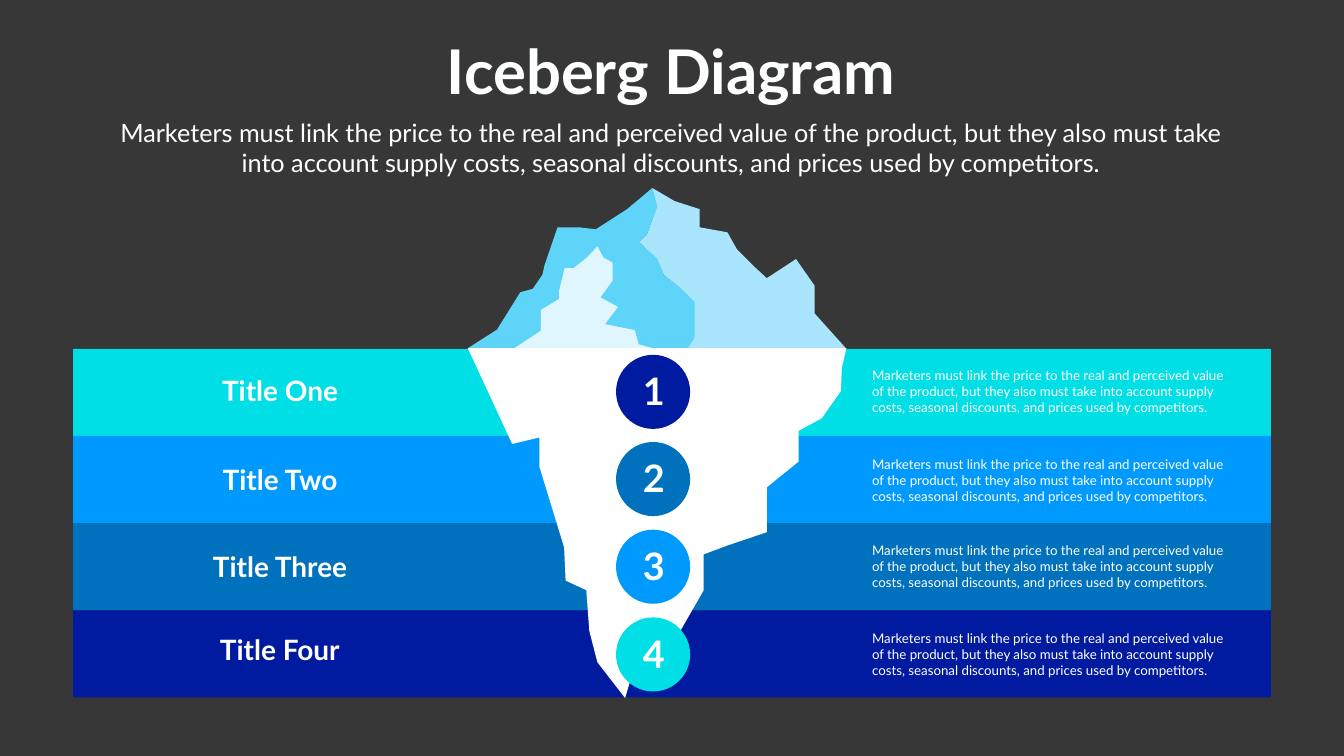
from dataclasses import dataclass

from pptx import Presentation
from pptx import util as u
from pptx.dml.color import RGBColor
from pptx.enum import shapes, text

PX = u.Inches(1) // 100  # one px is a hundredth of an inch
FONT = "Lato"
COLORS = {
    "background": "373737",
    "white": "FFFFFF",
    "heading": "FEFFFF",
    "cyan": "00DFE5",
    "azure": "009AFF",
    "blue": "0071BD",
    "navy": "011BA0",
    "ice_light": "A9E5FD",
    "ice_mid": "5ED4F8",
    "ice_pale": "DFF6FE",
}
SUMMARY = (
    "Marketers must link the price to the real and perceived value of the product, "
    "but they also must take into account supply costs, seasonal discounts, "
    "and prices used by competitors."
)
BAND_LEFT, BAND_TOP, BAND_WIDTH, BAND_HEIGHT = 145, 692, 2376, 173
TITLE_CENTER = 555
BADGE_LEFT, BADGE_SIZE = 1222, 147


@dataclass(frozen=True)
class Level:
    title: str
    band_color: str
    badge_color: str
    title_top: int
    title_width: int
    summary_top: int
    badge_top: int


@dataclass(frozen=True)
class Facet:
    color: str
    points: tuple[tuple[int, int], ...]


@dataclass(frozen=True)
class TextStyle:
    size: int
    color: str = "white"
    bold: bool = False
    align: text.PP_ALIGN = text.PP_ALIGN.CENTER
    wrap: bool = True


HEADING = TextStyle(88, "heading", bold=True, wrap=False)
SUBHEADING = TextStyle(36, "heading")
LEVEL_TITLE = TextStyle(40, bold=True)
LEVEL_SUMMARY = TextStyle(19, align=text.PP_ALIGN.LEFT)
BADGE_NUMBER = TextStyle(54, bold=True)

LEVELS = (
    Level("Title One", "cyan", "navy", 737, 257, 723, 704),
    Level("Title Two", "azure", "blue", 913, 257, 900, 877),
    Level("Title Three", "blue", "azure", 1086, 303, 1071, 1051),
    Level("Title Four", "navy", "cyan", 1250, 284, 1245, 1225),
)

ICEBERG = (
    Facet("ice_light", (
        (1616, 622), (1616, 567), (1579, 514), (1521, 552), (1494, 527), (1462, 495),
        (1443, 461), (1388, 451), (1388, 415), (1338, 399), (1294, 373), (1303, 410),
        (1283, 466), (1267, 480), (1303, 514), (1317, 546), (1345, 568), (1377, 600),
        (1377, 670), (1363, 691), (1678, 691),
    )),
    Facet("ice_mid", (
        (1378, 670), (1378, 600), (1346, 568), (1317, 546), (1304, 514), (1267, 480),
        (1283, 466), (1304, 410), (1294, 373), (1244, 415), (1182, 455), (1149, 451),
        (1106, 451), (1080, 527), (1076, 545), (1057, 573), (1032, 580), (986, 654),
        (928, 691), (1364, 691),
    )),
    Facet("ice_pale", (
        (1020, 691), (1073, 656), (1073, 615), (1109, 593), (1109, 577), (1120, 532),
        (1138, 532), (1163, 512), (1185, 489), (1197, 511), (1215, 521), (1215, 557),
        (1191, 590), (1226, 609), (1200, 643), (1259, 655), (1267, 683), (1295, 691),
    )),
    Facet("white", (
        (928, 691), (1016, 881), (1070, 868), (1070, 926), (1119, 1086), (1122, 1152),
        (1163, 1171), (1169, 1252), (1185, 1314), (1240, 1385), (1269, 1288),
        (1342, 1265), (1396, 1171), (1396, 1100), (1444, 1082), (1521, 1056),
        (1521, 967), (1584, 916), (1584, 855), (1630, 830), (1668, 776), (1670, 729),
        (1679, 691),
    )),
)


def rgb(name: str) -> RGBColor:
    return RGBColor.from_string(COLORS[name])


def paint(shape, color: str) -> None:
    """Give a shape a flat fill without outline or shadow."""
    shape.shadow.inherit = False
    shape.fill.solid()
    shape.fill.fore_color.rgb = rgb(color)
    shape.line.fill.background()


def add_preset(slide, kind: shapes.MSO_SHAPE, left: int, top: int,
               width: int, height: int, color: str) -> None:
    box = (length * PX for length in (left, top, width, height))
    paint(slide.shapes.add_shape(kind, *box), color)


def add_facet(slide, facet: Facet) -> None:
    builder = slide.shapes.build_freeform(*facet.points[0], scale=PX)
    builder.add_line_segments(facet.points[1:], close=True)
    paint(builder.convert_to_shape(), facet.color)


def add_text(slide, words: str, left: int, top: int, width: int, height: int,
             style: TextStyle) -> None:
    box = (length * PX for length in (left, top, width, height))
    frame = slide.shapes.add_textbox(*box).text_frame
    frame.word_wrap = style.wrap
    frame.auto_size = text.MSO_AUTO_SIZE.SHAPE_TO_FIT_TEXT
    paragraph = frame.paragraphs[0]
    paragraph.alignment = style.align
    run = paragraph.add_run()
    run.text = words
    run.font.name = FONT
    run.font.size = u.Pt(style.size)
    run.font.bold = style.bold
    run.font.color.rgb = rgb(style.color)


def add_level_text(slide, number: int, level: Level) -> None:
    add_text(slide, level.title, TITLE_CENTER - level.title_width // 2,
             level.title_top, level.title_width, 77, LEVEL_TITLE)
    add_text(slide, SUMMARY, 1720, level.summary_top, 742, 106, LEVEL_SUMMARY)
    add_text(slide, str(number), 1257, level.badge_top + 21, 80, 101, BADGE_NUMBER)


def main() -> None:
    deck = Presentation()
    deck.slide_width, deck.slide_height = 2666 * PX, 1500 * PX
    slide = deck.slides.add_slide(deck.slide_layouts[6])
    slide.background.fill.solid()
    slide.background.fill.fore_color.rgb = rgb("background")

    for row, level in enumerate(LEVELS):
        add_preset(slide, shapes.MSO_SHAPE.RECTANGLE, BAND_LEFT,
                   BAND_TOP + row * BAND_HEIGHT, BAND_WIDTH, BAND_HEIGHT,
                   level.band_color)
    for facet in ICEBERG:
        add_facet(slide, facet)
    for level in LEVELS:
        add_preset(slide, shapes.MSO_SHAPE.OVAL, BADGE_LEFT, level.badge_top,
                   BADGE_SIZE, BADGE_SIZE, level.badge_color)

    add_text(slide, "Iceberg Diagram", 866, 61, 930, 158, HEADING)
    add_text(slide, SUMMARY, 220, 227, 2221, 131, SUBHEADING)
    for number, level in enumerate(LEVELS, start=1):
        add_level_text(slide, number, level)

    deck.save("out.pptx")


if __name__ == "__main__":
    main()
